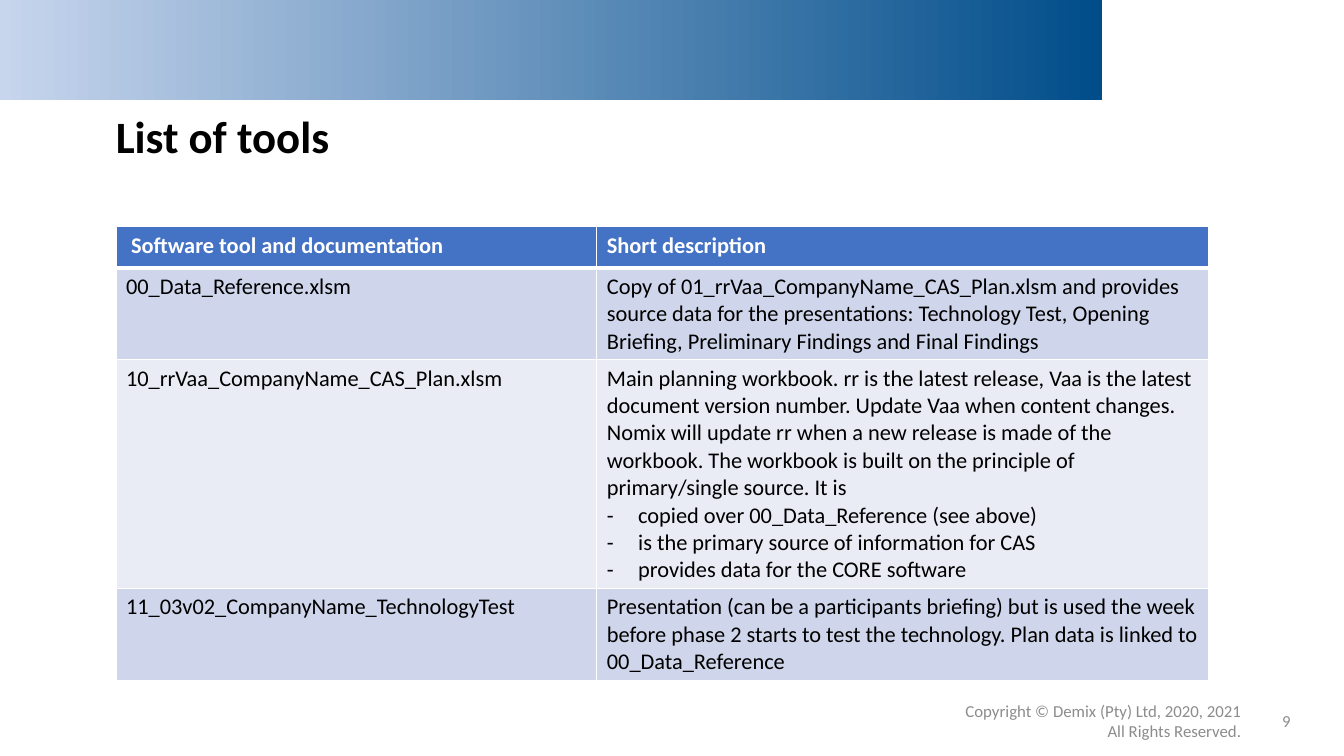
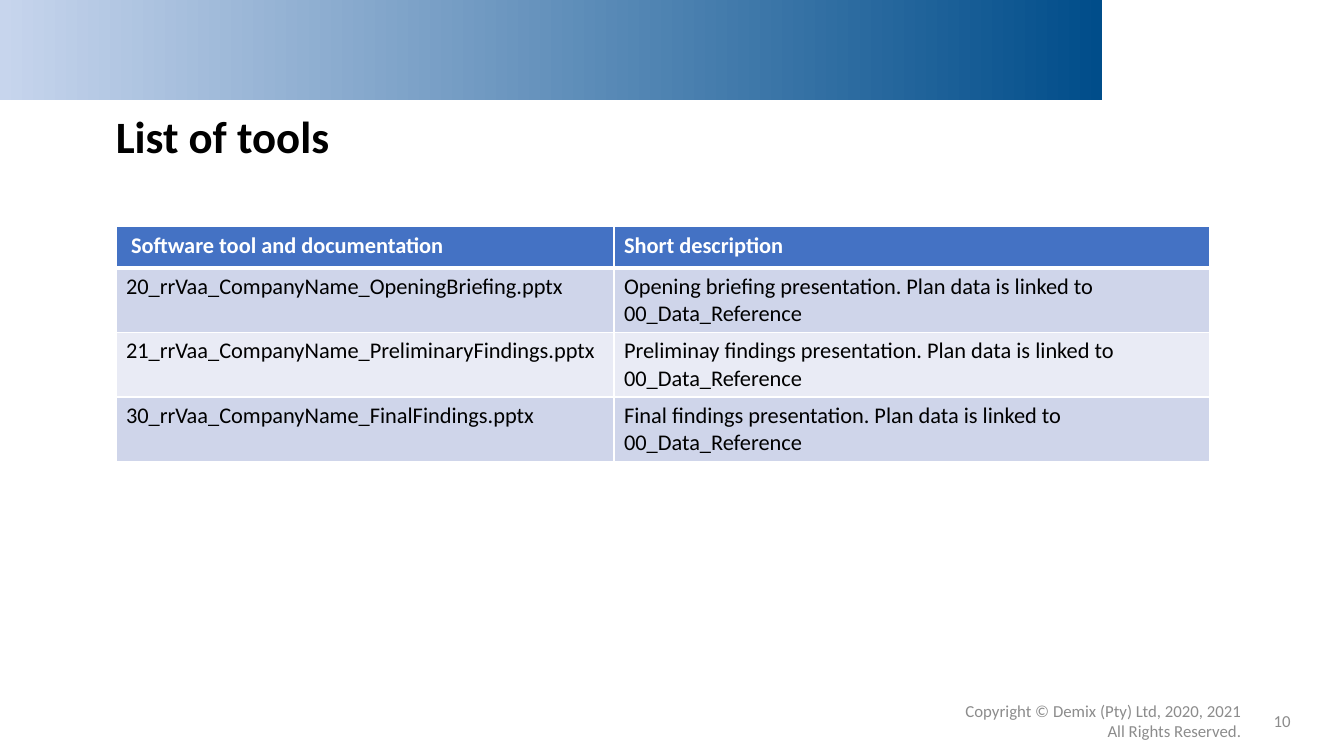
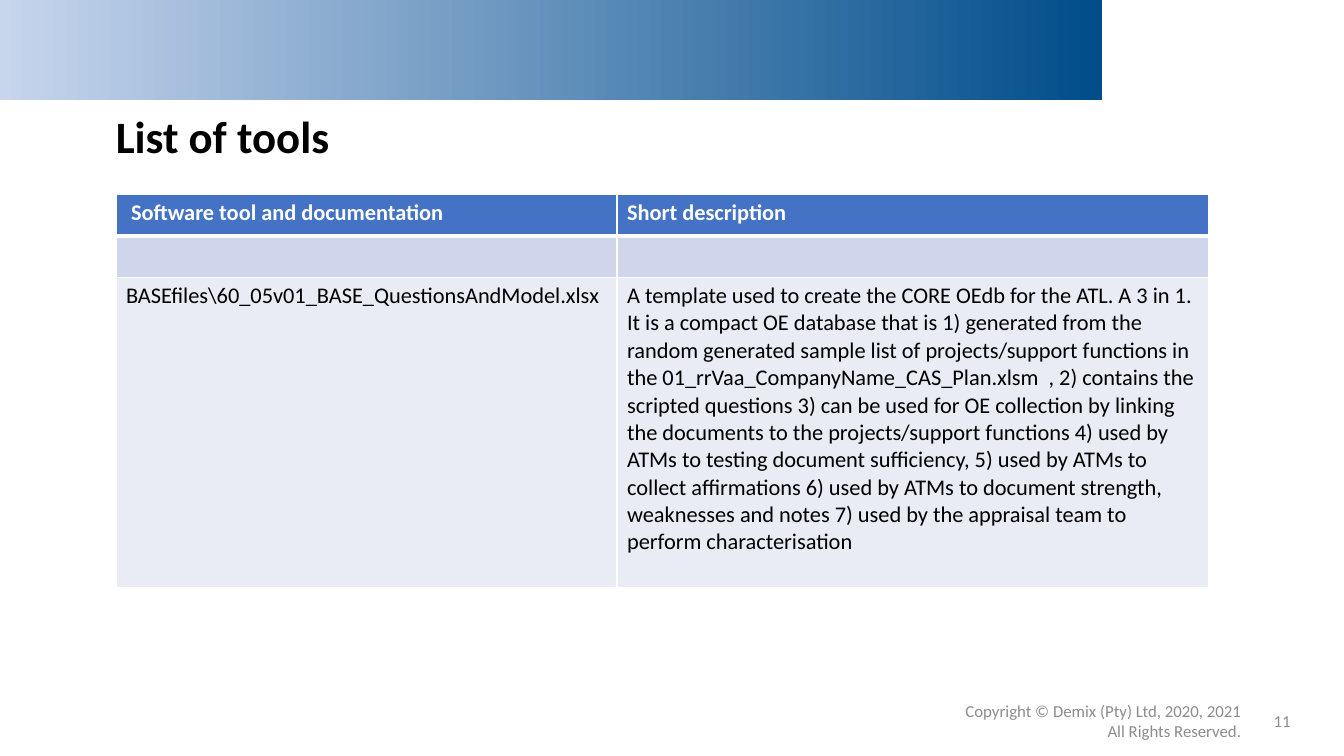
from lxml.etree import SubElement
from pptx import Presentation
from pptx.dml.color import RGBColor
from pptx.enum.shapes import MSO_SHAPE
from pptx.enum.text import MSO_ANCHOR, PP_ALIGN
from pptx.oxml.ns import qn
from pptx.util import Pt

PX = 9144
WHITE = RGBColor(0xFF, 0xFF, 0xFF)
BLACK = RGBColor(0x00, 0x00, 0x00)
GREY = RGBColor(0x8C, 0x8C, 0x8C)
NAVY = RGBColor(0x00, 0x4D, 0x8A)
PALE_BLUE = RGBColor(0xC7, 0xD5, 0xED)
HEADER_BLUE = RGBColor(0x44, 0x72, 0xC4)
ROW_BLUE = RGBColor(0xCF, 0xD5, 0xEA)
ROW_LIGHT = RGBColor(0xE9, 0xEB, 0xF5)

HEADINGS = (" Software tool and documentation", "Short description")
COPYRIGHT = ("Copyright © Demix (Pty) Ltd, 2020, 2021", "All Rights Reserved.")

TABLES = [
    {
        "top": 225,
        "columns": (477, 607),
        "heights": (41, 91, 227, 91),
        "rows": [
            ("00_Data_Reference.xlsm",
             "Copy of 01_rrVaa_CompanyName_CAS_Plan.xlsm and provides source data for the "
             "presentations: Technology Test, Opening Briefing, Preliminary Findings and "
             "Final Findings"),
            ("10_rrVaa_CompanyName_CAS_Plan.xlsm",
             "Main planning workbook. rr is the latest release, Vaa is the latest document "
             "version number. Update Vaa when content changes. Nomix will update rr when a "
             "new release is made of the workbook. The workbook is built on the principle "
             "of primary/single source. It is\n"
             "- copied over 00_Data_Reference (see above)\n"
             "- is the primary source of information for CAS\n"
             "- provides data for the CORE software"),
            ("11_03v02_CompanyName_TechnologyTest",
             "Presentation (can be a participants briefing) but is used the week before "
             "phase 2 starts to test the technology. Plan data is linked to "
             "00_Data_Reference"),
        ],
    },
    {
        "top": 225,
        "columns": (494, 591),
        "heights": (41, 64, 64, 64),
        "rows": [
            (f"{name}.pptx",
             f"{kind} presentation. Plan data is linked to 00_Data_Reference")
            for name, kind in (
                ("20_rrVaa_CompanyName_OpeningBriefing", "Opening briefing"),
                ("21_rrVaa_CompanyName_PreliminaryFindings", "Preliminay findings"),
                ("30_rrVaa_CompanyName_FinalFindings", "Final findings"),
            )
        ],
    },
    {
        "top": 193,
        "columns": (497, 587),
        "heights": (41, 41, 308),
        "rows": [
            ("", ""),
            ("BASEfiles\\60_05v01_BASE_QuestionsAndModel.xlsx",
             "A template used to create the CORE OEdb for the ATL. A 3 in 1. It is a compact "
             "OE database that is 1) generated from the random generated sample list of "
             "projects/support functions in the 01_rrVaa_CompanyName_CAS_Plan.xlsm  , 2) "
             "contains the scripted questions 3) can be used for OE collection by linking "
             "the documents to the projects/support functions 4) used by ATMs to testing "
             "document sufficiency, 5) used by ATMs to collect affirmations 6) used by ATMs "
             "to document strength, weaknesses and notes 7) used by the appraisal team to "
             "perform characterisation"),
        ],
    },
]


class ToolDeck:
    font_name = "Calibri"

    def __init__(self):
        self.deck = Presentation()
        self.deck.slide_width = 1333 * PX
        self.deck.slide_height = 750 * PX
        self.slide = None

    def add_page(self, title, number):
        self.slide = self.deck.slides.add_slide(self.deck.slide_layouts[6])
        self.band()
        self.text((1246, 695, 44, 40), [str(number)], 12, GREY, align=PP_ALIGN.RIGHT)
        self.text((819, 695, 422, 40), COPYRIGHT, 12, GREY, align=PP_ALIGN.RIGHT)
        heading = self.text((105, 105, 1137, 66), [title], 32, BLACK, bold=True)
        heading.paragraphs[0].line_spacing = 0.9

    def band(self):
        band = self.slide.shapes.add_shape(MSO_SHAPE.RECTANGLE, 0, 0, 1093 * PX, 99 * PX)
        band.shadow.inherit = False
        band.line.fill.background()
        band.fill.gradient()
        band.fill.gradient_angle = 180
        for stop, color in zip(band.fill.gradient_stops, (NAVY, PALE_BLUE)):
            stop.color.rgb = color

    def text(self, area, lines, size, color, bold=False, align=PP_ALIGN.LEFT):
        box = self.slide.shapes.add_textbox(*(length * PX for length in area))
        frame = box.text_frame
        frame.word_wrap = True
        frame.vertical_anchor = MSO_ANCHOR.MIDDLE
        self.paragraphs(frame, lines, size, color, bold, align)
        return frame

    def paragraphs(self, frame, lines, size, color, bold=False, align=PP_ALIGN.LEFT):
        for index, line in enumerate(lines):
            para = frame.add_paragraph() if index else frame.paragraphs[0]
            if line.startswith("- "):
                line = line[2:]
                self.bullet(para)
            if line:
                para.add_run().text = line
            para.alignment = align
            para.font.name = self.font_name
            para.font.size = Pt(size)
            para.font.bold = bold
            para.font.color.rgb = color

    def bullet(self, para):
        properties = para._p.get_or_add_pPr()
        properties.set("marL", str(31 * PX))
        properties.set("indent", str(-31 * PX))
        SubElement(properties, qn("a:buFont"), typeface=self.font_name)
        SubElement(properties, qn("a:buChar"), char="-")

    def borders(self, cell, top, bottom):
        properties = cell._tc.get_or_add_tcPr()
        for side, width in (("L", 1), ("R", 1), ("T", top), ("B", bottom)):
            line = SubElement(properties, qn(f"a:ln{side}"), w=str(Pt(width)))
            fill = SubElement(line, qn("a:solidFill"))
            SubElement(fill, qn("a:srgbClr"), val=str(WHITE))

    def table(self, top, columns, heights, rows):
        frame = self.slide.shapes.add_table(
            len(heights), len(columns), 115 * PX, top * PX,
            sum(columns) * PX, sum(heights) * PX)
        table = frame.table
        for column, width in zip(table.columns, columns):
            column.width = width * PX
        for index, (height, texts) in enumerate(zip(heights, [HEADINGS, *rows])):
            table.rows[index].height = height * PX
            header = index == 0
            shade = HEADER_BLUE if header else (ROW_LIGHT, ROW_BLUE)[index % 2]
            for cell, text in zip(table.rows[index].cells, texts):
                self.borders(cell, 3 if index == 1 else 1, 3 if header else 1)
                cell.fill.solid()
                cell.fill.fore_color.rgb = shade
                self.paragraphs(cell.text_frame, text.split("\n"), 16,
                                WHITE if header else BLACK, header)


def main():
    tools = ToolDeck()
    for number, content in enumerate(TABLES, start=9):
        tools.add_page("List of tools", number)
        tools.table(**content)
    tools.deck.save("out.pptx")


if __name__ == "__main__":
    main()
